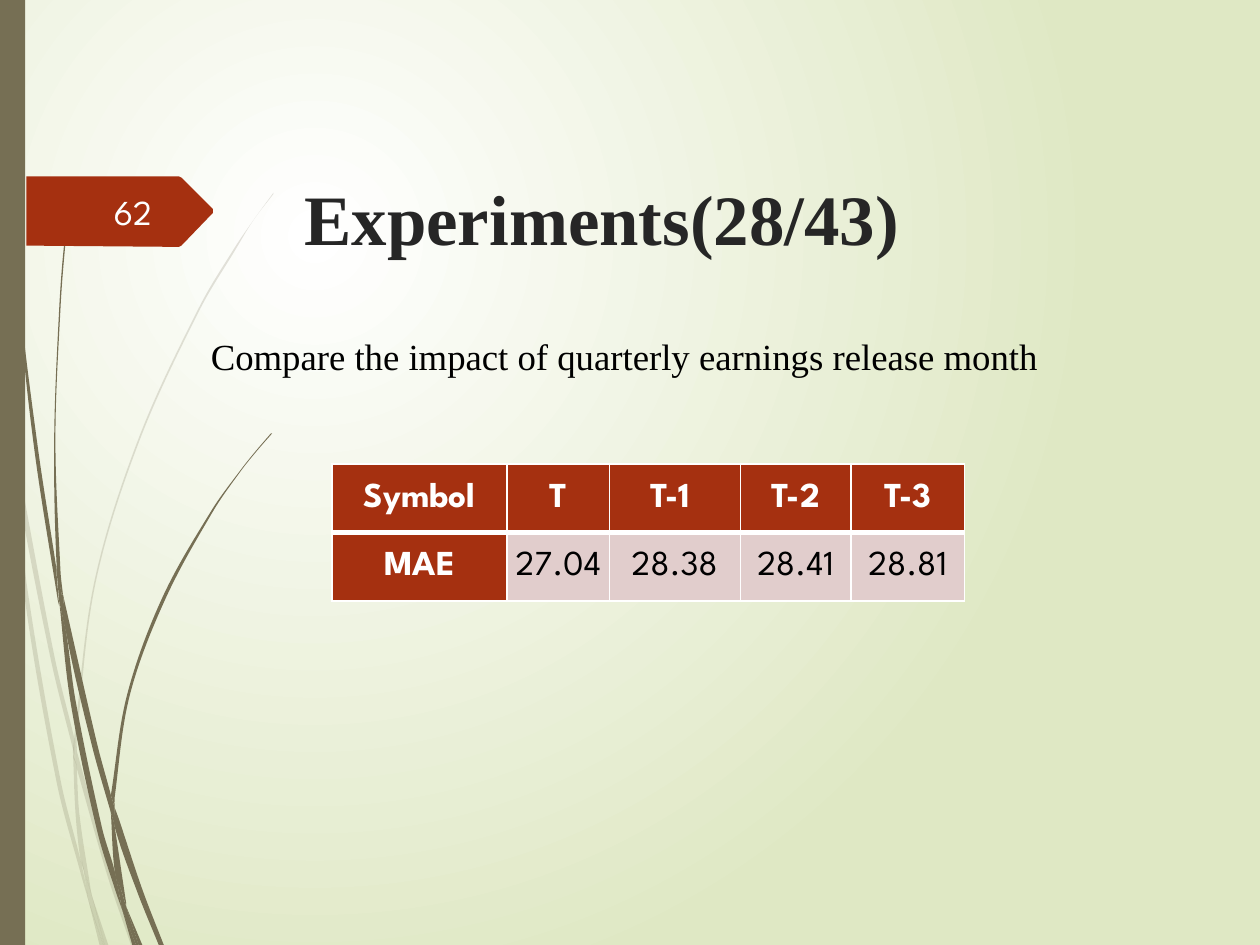
from math import dist

from lxml.etree import SubElement
from pptx import Presentation
from pptx.dml.color import RGBColor
from pptx.enum.shapes import MSO_SHAPE
from pptx.enum.text import MSO_ANCHOR, MSO_AUTO_SIZE, PP_ALIGN
from pptx.oxml.ns import qn
from pptx.util import Inches, Pt

WIDTH, HEIGHT = Inches(10), Inches(7.5)
COLUMN = WIDTH / 10
OLIVE, RUST, BLUSH, WHITE = "766F54", "A53010", "E1CDCC", "FFFFFF"
SERIF, SANS = "Times New Roman", "League Spartan"

PALE_GRASS = [
    "0.08,3.5 0.06,3.22 0,2.82 / 0,2.99 0.07,3.44 0.08,3.5",
    "0.1,3.45 0.12,3.76 0.4,5.22 0.59,5.99 / 0.59,5.86 0.43,5.2 0.1,3.45",
    "0.61,6.1 0.85,6.94 1.04,7.5 / 1.08,7.5 0.88,6.92 0.64,6.07 0.61,5.96",
    "0.83,7.5 / 0.86,7.5 0.73,7.11",
    "0.7,7.14 0.69,7.07 0.64,6.83 0.48,6.19 0.22,4.69 0.12,3.76 0.08,3.5"
    " / 0.08,3.5 0.19,4.7 0.45,6.21 0.64,6.93 0.7,7.14",
    "0.58,5.99 0.6,6.46 0.64,6.83 0.67,6.92 0.73,7.11"
    " / 0.72,7.06 0.63,6.46 0.61,6.1 0.61,6.08 0.58,5.99",
    "0.61,5.96 0.61,5.84 0.76,4.62 1.11,3.49 1.59,2.45 1.87,1.98 2.01,1.75 2.17,1.54"
    " / 2.17,1.53 2.01,1.75 1.86,1.97 1.58,2.44 1.1,3.48 0.75,4.61 0.59,5.84 0.59,5.86",
    "0.7,7.14 0.79,7.5 / 0.82,7.5 0.7,7.14",
    "0.61,6.08 0.61,6.1 0.61,5.96 / 0.59,5.86 0.58,5.99 0.61,6.08",
    "0.67,6.92 0.65,6.83 / 0.69,7.07 0.7,7.14 0.82,7.5 / 0.83,7.5 0.73,7.11 0.67,6.92",
]
DARK_GRASS = [
    "0.03,0 0.02,0 / 0.03,0.48 0.05,1.1 0.14,2.33 0.27,3.55 0.46,4.77 0.47,4.81"
    " / 0.45,4.57 0.45,4.53 0.3,3.55 0.15,2.32 0.06,1.09 0.04,0.48 0.03,0",
    "0.5,4.72 0.53,5.05 0.73,5.92 0.88,6.45 / 0.88,6.33 0.88,6.31 0.77,5.9 0.5,4.72",
    "0.91,6.41 0.91,6.56 1.09,7.08 1.26,7.5 / 1.3,7.5 1.13,7.06 0.94,6.49 0.91,6.41",
    "0.97,7.22 0.96,7.17 0.91,6.91 0.81,6.57 0.6,5.56 0.53,5.05 0.47,4.77"
    " / 0.47,4.77 0.56,5.57 0.77,6.59 0.92,7.08 0.97,7.22",
    "0.5,4.72 0.48,4.53 0.44,3.49 0.48,2.45 0.52,1.93 0.58,1.41"
    " / 0.58,1.41 0.51,1.93 0.47,2.45 0.43,3.49 0.45,4.49 0.49,4.72",
    "1.1,7.5 / 1.13,7.5 1,7.19",
    "0.47,4.77 0.53,5.05 / 0.5,4.72 0.49,4.72 / 0.45,4.49 0.45,4.53 0.47,4.77",
    "0.91,6.41 0.91,6.33 1.03,5.52 1.31,4.76 1.69,4.06 1.91,3.74 2.03,3.59 2.16,3.44"
    " / 2.15,3.44 2.03,3.58 1.91,3.73 1.68,4.05 1.29,4.74 1.01,5.51 0.88,6.31",
    "0.97,7.22 1.05,7.5 / 1.08,7.5 0.97,7.22",
    "0.88,6.45 0.91,6.91 0.96,7.06 1,7.19 / 1,7.16 0.91,6.56 0.9,6.51 0.88,6.45",
    "0.88,6.45 0.9,6.51 0.91,6.56 / 0.91,6.41 0.88,6.31 / 0.88,6.33 0.88,6.45",
    "0.96,7.06 0.91,6.91 / 0.96,7.17 0.97,7.22 1.08,7.5 / 1.1,7.5 1,7.19 0.96,7.06",
]
PAGE_FLAG = ("0.21,1.4 1.42,1.4 / 1.44,1.41 1.69,1.66 / "
             "1.69,1.69 1.44,1.95 / 1.42,1.96 0.21,1.95")

RESULTS = [
    ["Symbol", "T", "T-1 ", "T-2", "T-3"],
    ["MAE", "27.04", "28.38", "28.41", "28.81"],
]
RESULT_COLUMNS = [1.39, 0.81, 1.04, 0.88, 0.9]


def rgb(value):
    return RGBColor.from_string(value)


def apply_format(target, values):
    for name, value in values.items():
        setattr(target, name, value)


def place(left, top, width, height):
    return [round(share * side / 100) for share, side in
            zip((left, top, width, height), (WIDTH, HEIGHT) * 2)]


def paint(shape, color, opacity=100):
    shape.shadow.inherit = False
    shape.fill.solid()
    shape.fill.fore_color.rgb = rgb(color)
    shape.line.fill.background()
    if opacity < 100:
        tint = shape._element.spPr.find(f".//{qn('a:srgbClr')}")
        SubElement(tint, qn("a:alpha"), val=str(opacity * 1000))


def handle(before, anchor, after, reach):
    span = dist(before, after) or 1
    return [round(a + (n - b) / span * reach) for b, a, n in zip(before, anchor, after)]


def bend(segment, before, start, end, after):
    reach = dist(start, end) / 3
    handles = (handle(before, start, end, reach), handle(after, end, start, reach))
    segment.tag = qn("a:cubicBezTo")
    for index, (x, y) in enumerate(handles):
        point = SubElement(segment, qn("a:pt"), x=str(x), y=str(y))
        segment.insert(index, point)


def add_outline(shapes, outline, color, opacity=100):
    sides = [[tuple(round(float(n) * COLUMN) for n in pair.split(","))
              for pair in side.split()] for side in outline.split(" / ")]
    points = [point for side in sides for point in side]
    builder = shapes.build_freeform(*points[0])
    builder.add_line_segments(points[1:], close=True)
    shape = builder.convert_to_shape()
    left, top = (min(axis) for axis in zip(*points))
    segments = list(shape._element.iter(qn("a:lnTo")))
    first = 0
    for side in sides:
        local = [(x - left, y - top) for x, y in side]
        padded = [local[0], *local, local[-1]]
        if len(local) > 2:
            for segment, *anchors in zip(segments[first:], padded, local, local[1:], padded[3:]):
                bend(segment, *anchors)
        first += len(side)
    paint(shape, color, opacity)


def write(frame, text, font, size, color, bold=False, align=PP_ALIGN.LEFT):
    paragraph = frame.paragraphs[0]
    paragraph.alignment = align
    run = paragraph.add_run()
    run.text = text
    apply_format(run.font, {"name": font, "size": Pt(size), "bold": bold})
    run.font.color.rgb = rgb(color)


def add_label(slide, box, text, font, size, color, frame_format, **style):
    frame = slide.shapes.add_textbox(*place(*box)).text_frame
    apply_format(frame, {"word_wrap": True, **frame_format})
    write(frame, text, font, size, color, **style)


def add_border(cell, side, width):
    line = SubElement(cell._tc.get_or_add_tcPr(), qn(f"a:ln{side}"), w=str(Pt(width)))
    fill = SubElement(line, qn("a:solidFill"))
    SubElement(fill, qn("a:srgbClr"), val=WHITE)


def add_results(slide, box):
    table = slide.shapes.add_table(len(RESULTS), len(RESULT_COLUMNS), *place(*box)).table
    apply_format(table, {"first_row": False, "horz_banding": False})
    for column, width in zip(table.columns, RESULT_COLUMNS):
        column.width = round(width * COLUMN)
    for r, row in enumerate(RESULTS):
        for c, text in enumerate(row):
            cell = table.cell(r, c)
            heading = r == 0 or c == 0
            apply_format(cell, {
                "vertical_anchor": MSO_ANCHOR.MIDDLE, "margin_left": Inches(0.01),
                "margin_right": Inches(0.01), "margin_top": Inches(0.01),
                "margin_bottom": 0})
            for side, width in {"L": 1, "R": 1, "T": 3 if r else 1, "B": 1 if r else 3}.items():
                add_border(cell, side, width)
            cell.fill.solid()
            cell.fill.fore_color.rgb = rgb(RUST if heading else BLUSH)
            write(cell.text_frame, text, SANS, 20, WHITE if heading else "000000",
                  bold=heading, align=PP_ALIGN.CENTER)


def add_glow(slide):
    fill = slide.background.fill
    fill.gradient()
    for stop, color, position in zip(fill.gradient_stops, (WHITE, "DFE8C4"), (0, 1)):
        stop.color.rgb = rgb(color)
        stop.position = position
    gradient = slide._element.find(f".//{qn('a:gradFill')}")
    gradient.remove(gradient.find(qn("a:lin")))
    circle = SubElement(gradient, qn("a:path"), {"path": "circle"})
    SubElement(circle, qn("a:fillToRect"), l="50000", t="50000", r="100000", b="100000")


def main():
    deck = Presentation()
    apply_format(deck, {"slide_width": WIDTH, "slide_height": HEIGHT})
    slide = deck.slides.add_slide(deck.slide_layouts[6])
    add_glow(slide)
    for blades, opacity in ((PALE_GRASS, 20), (DARK_GRASS, 100)):
        tuft = slide.shapes.add_group_shape()
        for blade in blades:
            add_outline(tuft.shapes, blade, OLIVE, opacity)
    edge_band = slide.shapes.add_shape(MSO_SHAPE.RECTANGLE, *place(0, 0, 2, 100))
    paint(edge_band, OLIVE)
    add_outline(slide.shapes, PAGE_FLAG, RUST)
    add_label(slide, (6.65, 19.7, 6.4, 5.3), "62", SANS, 20, "FEFFFF",
              {"vertical_anchor": MSO_ANCHOR.MIDDLE}, align=PP_ALIGN.RIGHT)
    title_margins = {"margin_left": Inches(0.07), "margin_right": Inches(0.07),
                     "margin_top": Inches(0.04), "margin_bottom": Inches(0.04)}
    add_label(slide, (23.46, 17.9, 53.2, 14), "Experiments(28/43)", SERIF, 40.5, "262626",
              title_margins, bold=True)
    add_label(slide, (15.75, 34.7, 95.3, 6),
              "Compare the impact of quarterly earnings release month", SERIF, 21, "000000",
              {"auto_size": MSO_AUTO_SIZE.SHAPE_TO_FIT_TEXT})
    add_results(slide, (26.36, 49.1, 50.3, 14.5))
    deck.save("out.pptx")


if __name__ == "__main__":
    main()
